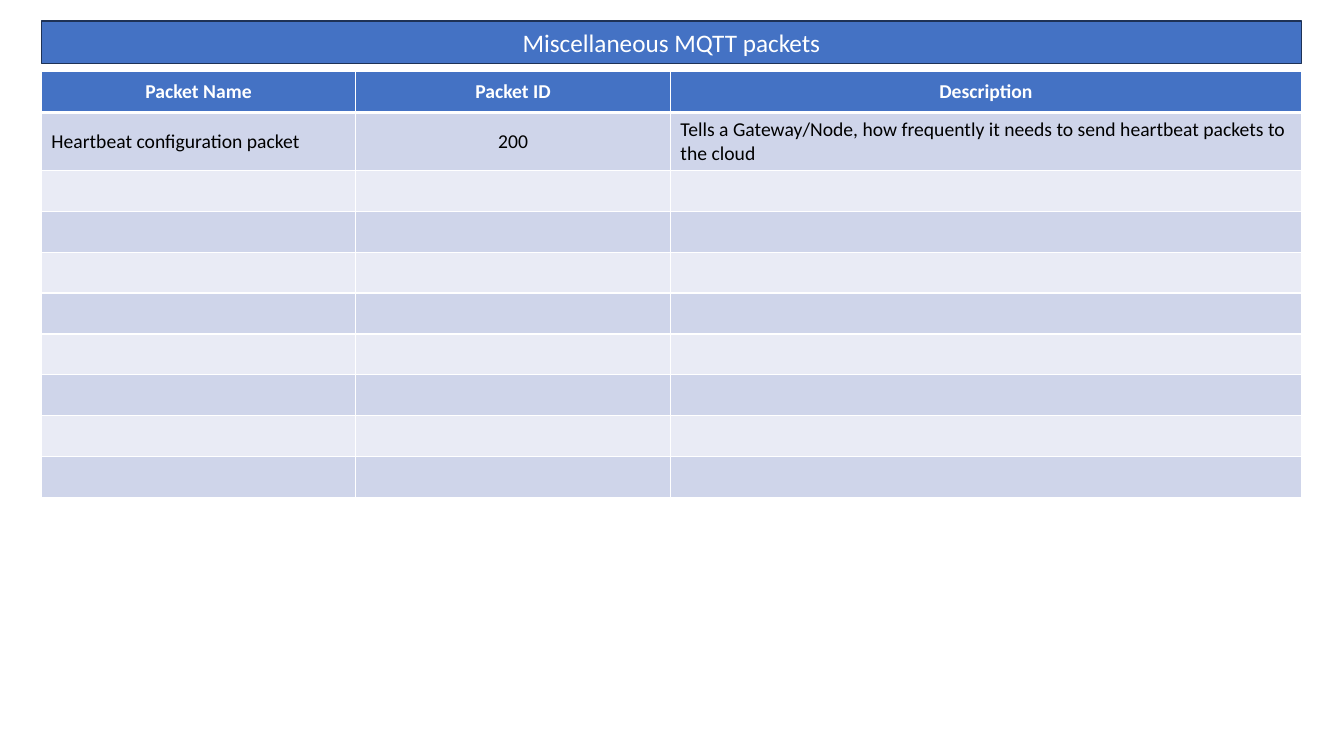
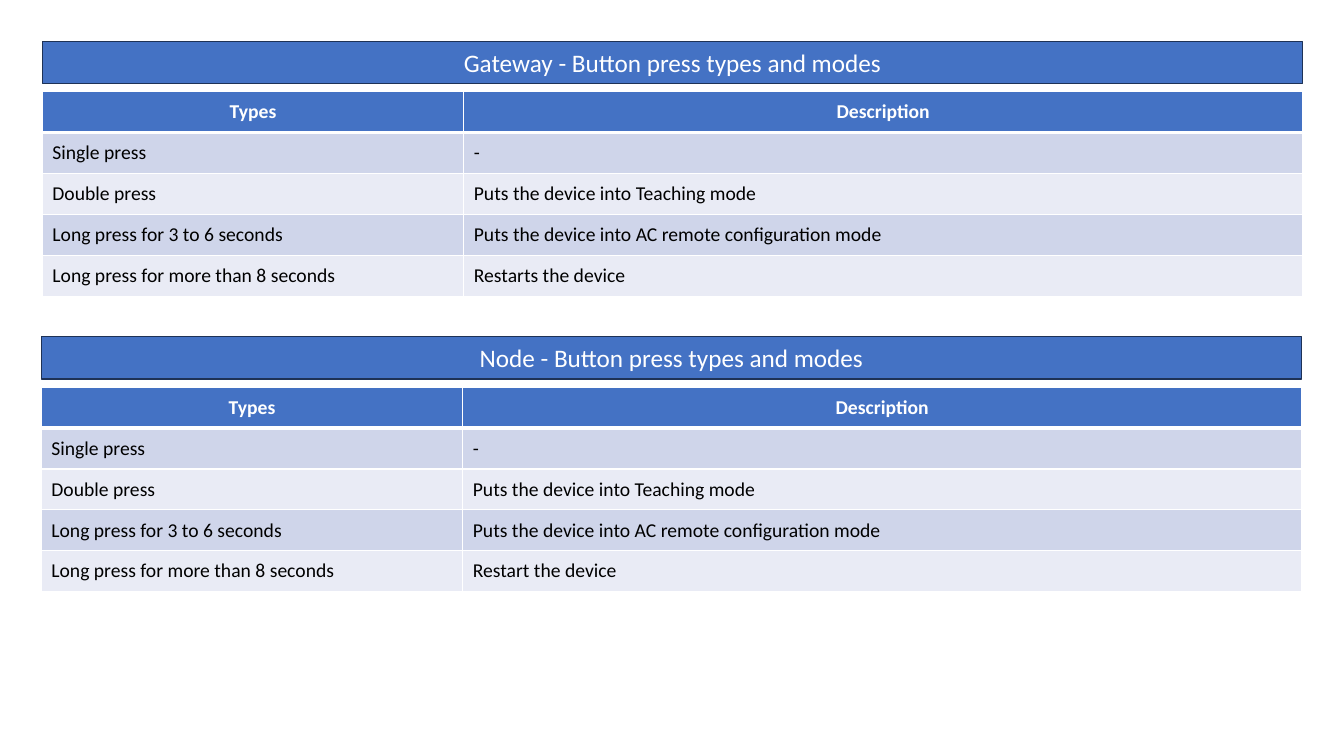
import pptx
import pptx.util
import pptx.dml.color
import pptx.enum.shapes
import pptx.enum.text
import pptx.oxml
import pptx.oxml.ns

Inches = pptx.util.Inches
Pt = pptx.util.Pt
ALIGN = pptx.enum.text.PP_ALIGN
MIDDLE = pptx.enum.text.MSO_ANCHOR.MIDDLE

COLORS = {
    "band": "4472C4",
    "band_line": "1E3256",
    "odd_row": "CFD5EA",
    "even_row": "E9EBF5",
    "white": "FFFFFF",
    "black": "000000",
}
FONT = "Calibri"
WIDTH = 12.5
BAND_HEIGHT = 0.42
TABLE_OFFSET = 0.5
ROW_HEIGHT = Inches(2.03) // 5

PRESS_HEADER = ("Types", "Description")
PRESS_COLUMNS = (4.18, 8.32)


def press_rows(restart_text):
    return [
        ("Single press", "-"),
        ("Double press", "Puts the device into Teaching mode"),
        ("Long press for 3 to 6 seconds", "Puts the device into AC remote configuration mode"),
        ("Long press for more than 8 seconds", restart_text),
    ]


SLIDES = [
    [
        {
            "heading": "Miscellaneous MQTT packets",
            "at": (0.41, 0.21),
            "columns": (3.12, 3.12, 6.26),
            "centered": {1},
            "header": ("Packet Name", "Packet ID", "Description"),
            "rows": [
                (
                    "Heartbeat configuration packet",
                    "200",
                    "Tells a Gateway/Node, how frequently it needs to send heartbeat packets to the cloud",
                )
            ]
            + [("", "", "")] * 8,
        }
    ],
    [
        {
            "heading": "Gateway - Button press types and modes",
            "at": (0.42, 0.41),
            "columns": PRESS_COLUMNS,
            "centered": set(),
            "header": PRESS_HEADER,
            "rows": press_rows("Restarts the device"),
        },
        {
            "heading": "Node - Button press types and modes",
            "at": (0.41, 3.34),
            "columns": PRESS_COLUMNS,
            "centered": set(),
            "header": PRESS_HEADER,
            "rows": press_rows("Restart the device"),
        },
    ],
]


def rgb(name):
    return pptx.dml.color.RGBColor.from_string(COLORS[name])


def write(paragraph, text, size, color, align, bold=False):
    paragraph.alignment = align
    run = paragraph.add_run()
    run.text = text
    run.font.name = FONT
    run.font.size = Pt(size)
    run.font.bold = bold
    run.font.color.rgb = rgb(color)


def style_band(band, heading, left, top):
    band.left, band.top = Inches(left), Inches(top)
    band.width, band.height = Inches(WIDTH), Inches(BAND_HEIGHT)
    band.fill.solid()
    band.fill.fore_color.rgb = rgb("band")
    band.line.color.rgb = rgb("band_line")
    band.line.width = Pt(1)
    frame = band.text_frame
    frame.word_wrap = True
    frame.auto_size = pptx.enum.text.MSO_AUTO_SIZE.NONE
    frame.vertical_anchor = MIDDLE
    write(frame.paragraphs[0], heading, 18, "white", ALIGN.CENTER)


def add_band(slide):
    band = slide.shapes.add_shape(pptx.enum.shapes.MSO_SHAPE.RECTANGLE, 0, 0, 0, 0)
    band.shadow.inherit = False
    return band


def set_borders(cell, widths):
    properties = cell._tc.get_or_add_tcPr()
    for side, width in widths.items():
        properties.append(pptx.oxml.parse_xml(
            f'<a:ln{side} {pptx.oxml.ns.nsdecls("a")} w="{Pt(width)}"><a:solidFill>'
            f'<a:srgbClr val="{COLORS["white"]}"/></a:solidFill></a:ln{side}>'
        ))


def add_packet_table(slide, section, left, top):
    rows = [section["header"], *section["rows"]]
    columns = section["columns"]
    table = slide.shapes.add_table(
        len(rows), len(columns), Inches(left), Inches(top), Inches(WIDTH), ROW_HEIGHT * len(rows)
    ).table
    for column, width in zip(table.columns, columns):
        column.width = Inches(width)
    for r, texts in enumerate(rows):
        table.rows[r].height = ROW_HEIGHT
        is_header = r == 0
        fill = "band" if is_header else "odd_row" if r % 2 else "even_row"
        for c, text in enumerate(texts):
            cell = table.cell(r, c)
            set_borders(cell, {"L": 1, "R": 1, "T": 3 if r == 1 else 1, "B": 3 if is_header else 1})
            cell.fill.solid()
            cell.fill.fore_color.rgb = rgb(fill)
            cell.vertical_anchor = MIDDLE
            if text:
                centered = is_header or c in section["centered"]
                write(
                    cell.text_frame.paragraphs[0], text, 14,
                    "white" if is_header else "black",
                    ALIGN.CENTER if centered else ALIGN.LEFT, is_header,
                )


def main():
    deck = pptx.Presentation()
    deck.slide_width, deck.slide_height = Inches(13.33), Inches(7.5)
    for sections in SLIDES:
        slide = deck.slides.add_slide(deck.slide_layouts[5])
        for index, section in enumerate(sections):
            left, top = section["at"]
            band = slide.shapes.title if index == 0 else add_band(slide)
            style_band(band, section["heading"], left, top)
            add_packet_table(slide, section, left, top + TABLE_OFFSET)
    deck.save("out.pptx")


if __name__ == "__main__":
    main()
